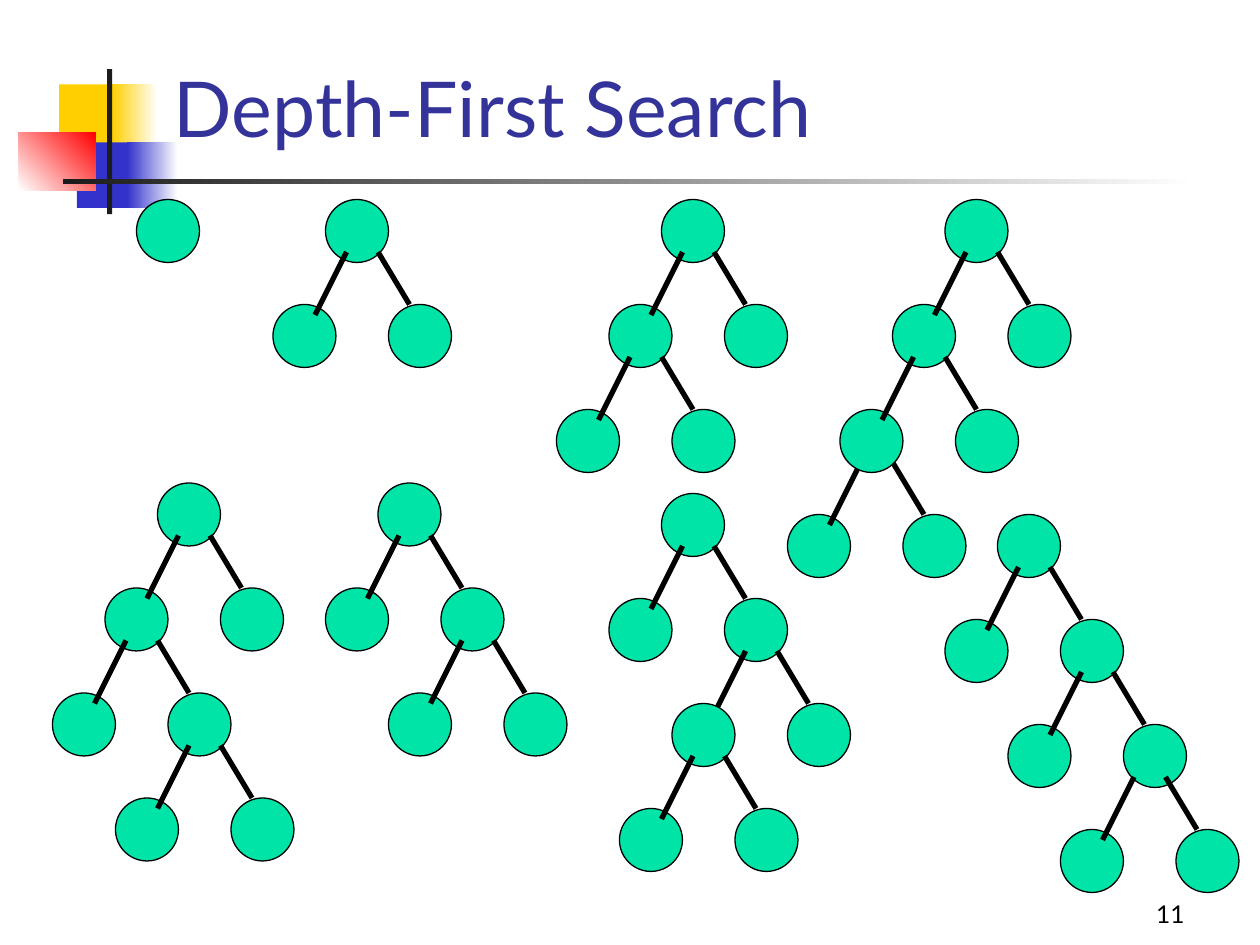
from lxml import etree
from pptx import Presentation, util as u
from pptx.dml.color import RGBColor
from pptx.enum import shapes, text
from pptx.oxml.ns import qn

COLORS = {
    "yellow": "FFCF01", "blue": "3333CC", "red": "FF0000", "white": "FFFFFF",
    "charcoal": "1C1C1C", "title": "333399", "node": "00E4A8", "black": "000000",
}
FONT = "Lato"
CELLS_PER_INCH = 12
NODE_SIZE = 6
LEVEL_HEIGHT = 10
CHILD_OFFSETS = {"L": -5, "R": 6}
# Edge start and end, in cells from the parent's top left corner
EDGES = {"L": ((2, 5), (-1, 11)), "R": ((5, 5), (8, 10))}


def color(name):
    return RGBColor.from_string(COLORS[name])


def cells(*values):
    return [u.Inches(value / CELLS_PER_INCH) for value in values]


class SlideBuilder:
    def __init__(self, presentation):
        self.width = presentation.slide_width
        self.height = presentation.slide_height
        self.slide = presentation.slides.add_slide(presentation.slide_layouts[5])
        self.canvas = self.slide.shapes

    def area(self, left, top, width, height):
        """Turn percentages of the slide's size into lengths."""
        return [int(share * side / 100) for share, side in
                zip((left, top, width, height), (self.width, self.height) * 2)]

    def block(self, area, start, end=None, angle=0):
        """Add a borderless rectangle, solid or fading from start to end."""
        shape = self.canvas.add_shape(shapes.MSO_SHAPE.RECTANGLE, *self.area(*area))
        shape.shadow.inherit = False
        shape.line.fill.background()
        if end is None:
            shape.fill.solid()
            shape.fill.fore_color.rgb = color(start)
            return
        shape.fill.gradient()
        shape.fill.gradient_angle = angle
        for stop, name in zip(shape.fill.gradient_stops, (start, end)):
            stop.color.rgb = color(name)

    def set_text(self, shape, words, size, name, alignment):
        frame = shape.text_frame
        frame.word_wrap = True
        frame.auto_size = text.MSO_AUTO_SIZE.NONE
        frame.vertical_anchor = text.MSO_ANCHOR.BOTTOM
        paragraph = frame.paragraphs[0]
        paragraph.alignment = alignment
        run = paragraph.add_run()
        run.text = words
        run.font.name = FONT
        run.font.size = u.Pt(size)
        run.font.color.rgb = color(name)

    def title(self, area, words):
        shape = self.slide.shapes.title
        shape.left, shape.top, shape.width, shape.height = self.area(*area)
        self.set_text(shape, words, 44, "title", text.PP_ALIGN.LEFT)

    def page_number(self, area, words):
        shape = self.canvas.add_textbox(*self.area(*area))
        self.set_text(shape, words, 14, "black", text.PP_ALIGN.RIGHT)

    def node(self, column, row):
        shape = self.canvas.add_shape(
            shapes.MSO_SHAPE.OVAL, *cells(column, row, NODE_SIZE, NODE_SIZE))
        shape.shadow.inherit = False
        shape.fill.solid()
        shape.fill.fore_color.rgb = color("node")
        shape.line.color.rgb = color("black")
        shape.line.width = u.Pt(0.75)

    def edge(self, column, row, side):
        (x1, y1), (x2, y2) = EDGES[side]
        line = self.canvas.add_connector(
            shapes.MSO_CONNECTOR.STRAIGHT,
            *cells(column + x1, row + y1, column + x2, row + y2))
        line.line.color.rgb = color("black")
        line.line.width = u.Pt(3)
        etree.SubElement(line._element.spPr, qn("a:effectLst"))

    def branch(self, column, row, edges_first=False):
        """Add both children of a node and the edges to them."""
        steps = [
            lambda side: self.node(column + CHILD_OFFSETS[side], row + LEVEL_HEIGHT),
            lambda side: self.edge(column, row, side),
        ]
        for step in reversed(steps) if edges_first else steps:
            for side in "LR":
                step(side)

    def tree(self, column, row, path="", last_behind=False, edges_first=None, nudge=0):
        """Add a grouped tree; path names the child expanded at each level."""
        parents = [(column, row)]
        for side in path:
            x, y = parents[-1]
            parents.append((x + CHILD_OFFSETS[side], y + LEVEL_HEIGHT))
        x, y = parents[-1]
        parents[-1] = (x + nudge, y)

        self.canvas = self.slide.shapes.add_group_shape().shapes
        if last_behind:
            self.branch(*parents.pop())
        self.node(column, row)
        for level, parent in enumerate(parents):
            self.branch(*parent, edges_first=level == edges_first)
        self.canvas = self.slide.shapes


def main():
    presentation = Presentation()
    presentation.slide_width = u.Inches(10)
    presentation.slide_height = u.Inches(7.5)
    builder = SlideBuilder(presentation)

    builder.block((4.7, 8.93, 4.8, 6.93), "yellow")
    builder.block((8.9, 8.93, 3.6, 6.93), "yellow", "white")
    builder.block((6.1, 15.07, 4.6, 6.93), "blue")
    builder.block((10.1, 15.07, 4, 6.93), "blue", "white")
    builder.block((1.5, 14, 6.1, 6.13), "white", "red", angle=45)
    builder.block((8.5, 7.33, 0.4, 15.33), "charcoal")
    builder.block((5, 18.93, 90, 0.53), "charcoal", "white")

    builder.page_number((74.2, 92.27, 20.8, 6.67), "11")
    builder.title((12.8, 0.13, 85.2, 16.67), "Depth-First Search")

    builder.node(13, 19)
    builder.tree(63, 19, "L")
    builder.tree(90, 19, "LL", last_behind=True)
    builder.tree(31, 19)
    builder.tree(15, 46, "LR")
    builder.tree(36, 46, "R")
    builder.tree(63, 47, "RL", edges_first=1)
    builder.tree(95, 49, "RR", nudge=-1)

    presentation.save("out.pptx")


if __name__ == "__main__":
    main()
